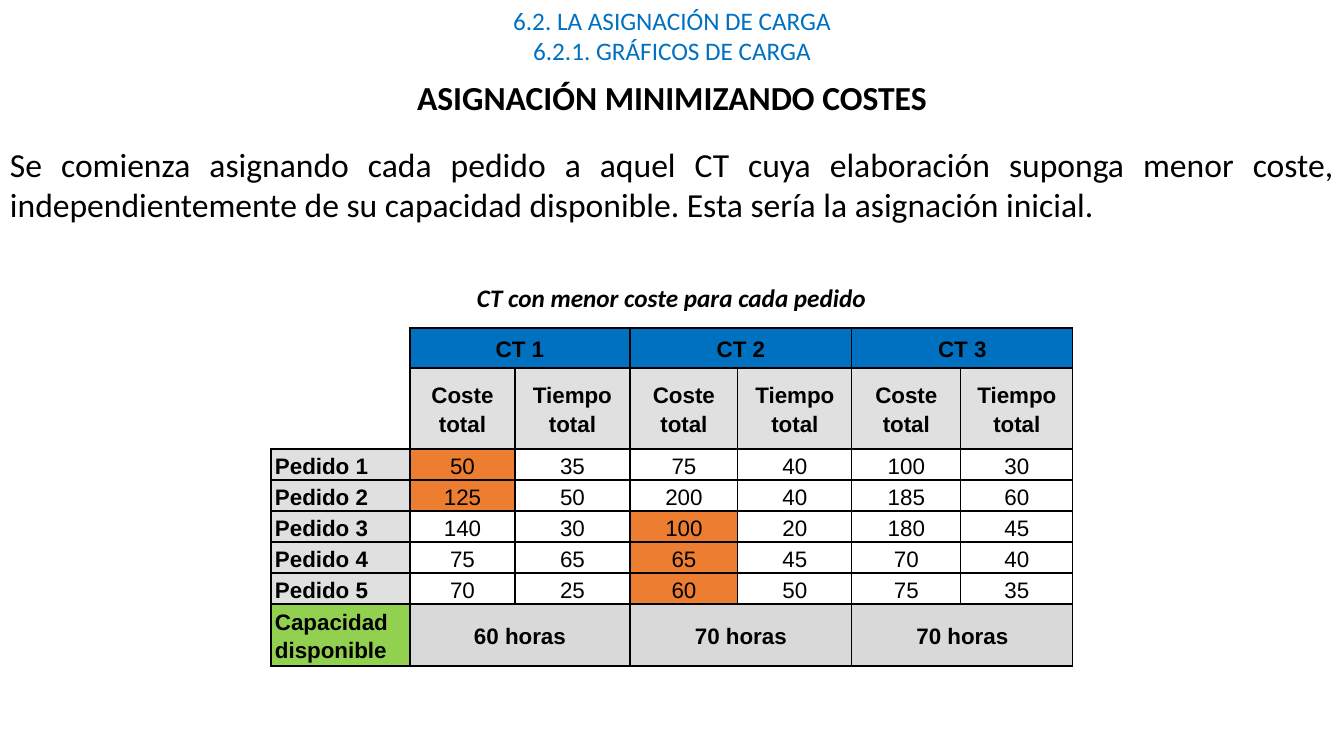
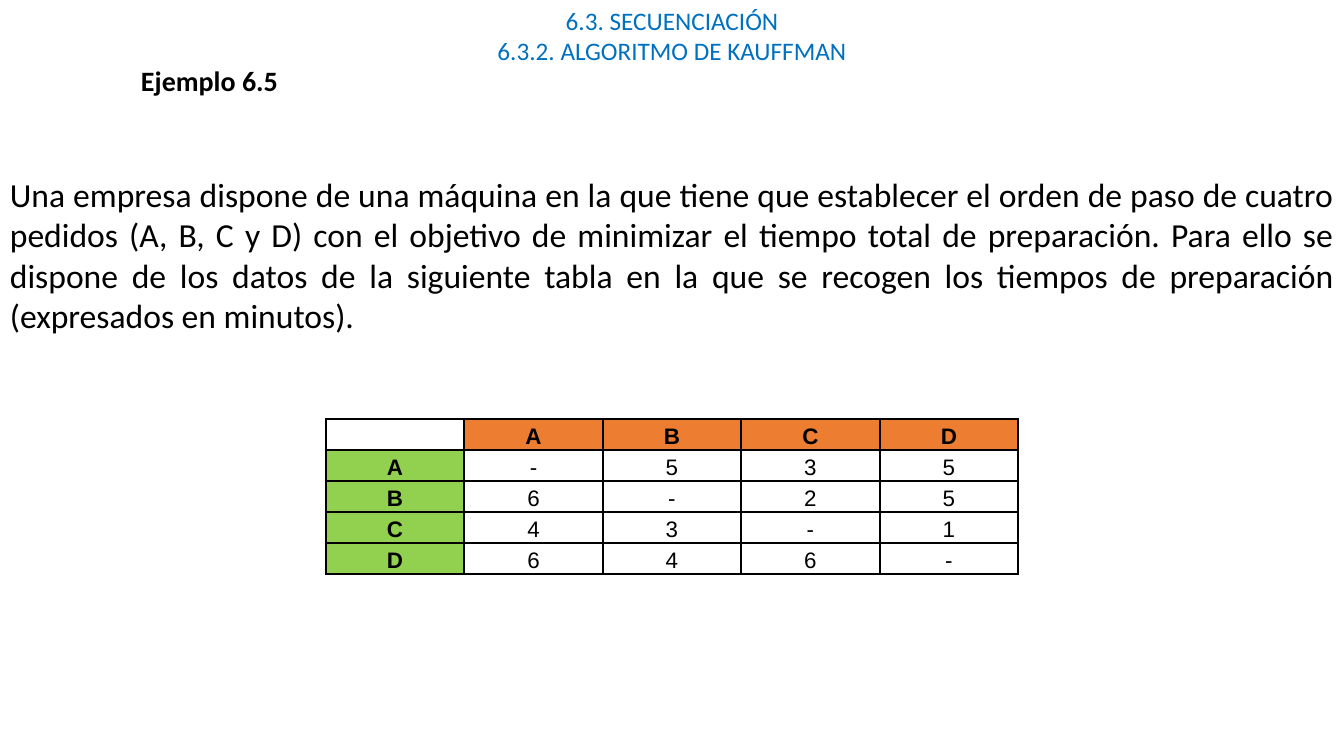
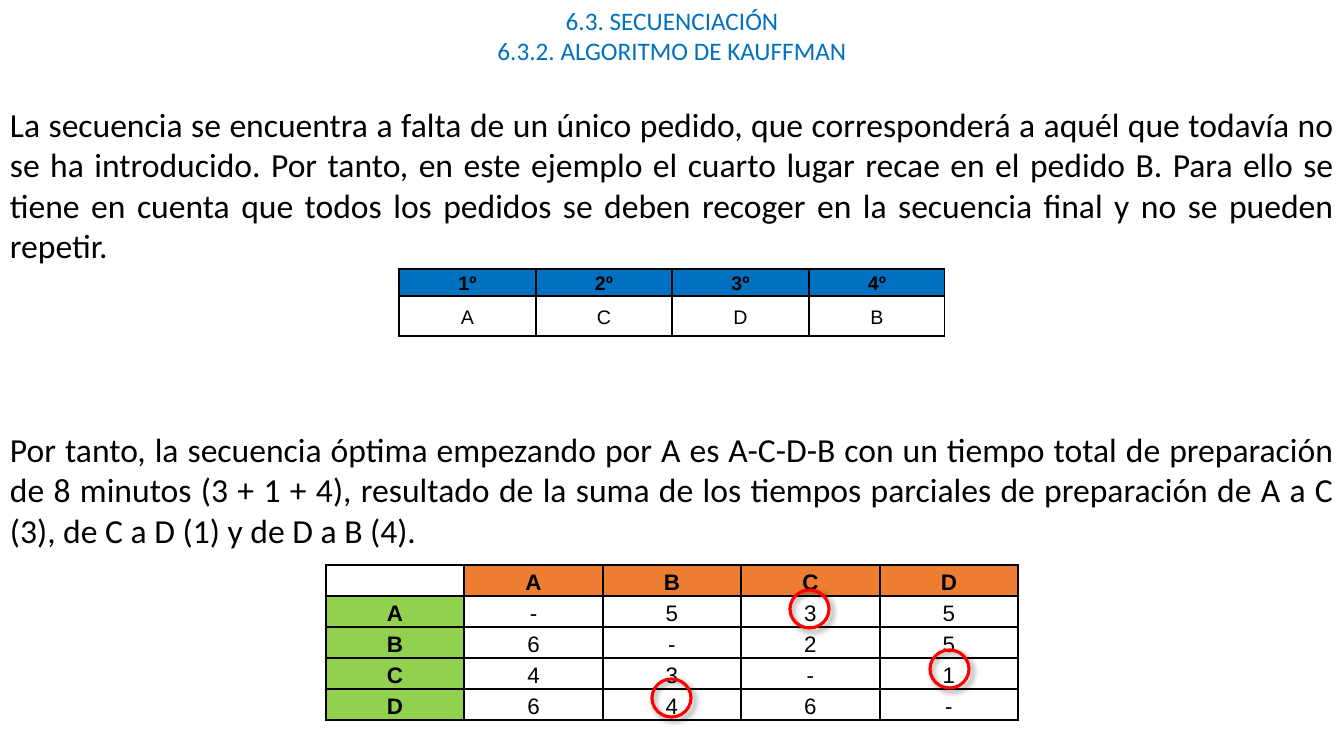
from dataclasses import dataclass
from typing import Optional

from lxml import etree
from pptx import Presentation
from pptx.dml.color import RGBColor
from pptx.enum.shapes import MSO_SHAPE
from pptx.enum.text import MSO_ANCHOR, PP_ALIGN
from pptx.oxml import parse_xml
from pptx.oxml.ns import nsdecls, qn
from pptx.util import Emu, Pt

WIDE, HIGH = 1344, 756
SCALE = 12192000 / WIDE

BLACK = RGBColor(0x00, 0x00, 0x00)
BLUE = RGBColor(0x00, 0x70, 0xC0)
ORANGE = RGBColor(0xED, 0x7D, 0x31)
GREEN = RGBColor(0x92, 0xD0, 0x50)
PALE = RGBColor(0xE0, 0xE0, 0xE0)
GRAY = RGBColor(0xD9, 0xD9, 0xD9)
RED = RGBColor(0xFF, 0x00, 0x00)

CENTER, LEFT, FULL = PP_ALIGN.CENTER, PP_ALIGN.LEFT, PP_ALIGN.JUSTIFY
MIDDLE = MSO_ANCHOR.MIDDLE
OVAL = MSO_SHAPE.OVAL


@dataclass
class Cell:
    text: str = ""
    fill: Optional[RGBColor] = None
    bold: bool = False
    align: PP_ALIGN = CENTER
    span: int = 1
    edges: str = "LRTB"


@dataclass
class Grid:
    left: int
    top: int
    cols: list[int]
    rows: list[int]
    cells: list[list[Cell]]
    size: int = 16
    inset: int = 7


def px(count: int) -> Emu:
    return Emu(round(count * SCALE))


def write(frame, text: str, *, size: int, font: str = "Calibri",
          color: RGBColor = BLACK, bold: bool = False, italic: bool = False,
          align: PP_ALIGN = CENTER, spacing: float = 1.0) -> None:
    for index, line in enumerate(text.split("\n")):
        para = frame.add_paragraph() if index else frame.paragraphs[0]
        para.alignment = align
        para.line_spacing = spacing
        run = para.add_run()
        run.text = line
        run.font.name = font
        run.font.size = Pt(size)
        run.font.color.rgb = color
        run.font.bold = bold
        run.font.italic = italic


def add_text(slide, text: str, left: int, top: int, width: int, height: int,
             **style) -> None:
    box = slide.shapes.add_textbox(px(left), px(top), px(width), px(height))
    box.text_frame.word_wrap = True
    write(box.text_frame, text, **style)


def add_body(slide, text: str, top: int, height: int) -> None:
    add_text(slide, text, 0, top, WIDE, height, size=24, align=FULL)


def add_page(deck, title: str):
    slide = deck.slides.add_slide(deck.slide_layouts[6])
    add_text(slide, title, 0, 0, WIDE, 72, size=18, color=BLUE)
    return slide


def add_edges(cell, edges: str) -> None:
    props = cell._tc.get_or_add_tcPr()
    for edge in edges:
        line = etree.SubElement(props, qn(f"a:ln{edge}"), w=str(Pt(1)))
        fill = etree.SubElement(line, qn("a:solidFill"))
        etree.SubElement(fill, qn("a:srgbClr"), val=str(BLACK))


def add_grid(slide, grid: Grid) -> None:
    frame = slide.shapes.add_table(
        len(grid.rows), len(grid.cols), px(grid.left), px(grid.top),
        px(sum(grid.cols)), px(sum(grid.rows)))
    table = frame.table
    table.first_row = table.horz_banding = False
    for col, width in zip(table.columns, grid.cols):
        col.width = px(width)
    for row, height in zip(table.rows, grid.rows):
        row.height = px(height)
    for r, line in enumerate(grid.cells):
        c = 0
        for item in line:
            first = table.cell(r, c)
            for part in range(c, c + item.span):
                paint(table.cell(r, part), item, grid.inset)
            if item.span > 1:
                first.merge(table.cell(r, c + item.span - 1))
            if item.text:
                write(first.text_frame, item.text, size=grid.size, font="Arial",
                      bold=item.bold, align=item.align, spacing=1.15)
            c += item.span


def paint(cell, item: Cell, inset: int) -> None:
    cell.margin_left = cell.margin_right = px(inset)
    cell.margin_top = cell.margin_bottom = 0
    cell.vertical_anchor = MIDDLE
    add_edges(cell, item.edges)
    if item.fill is None:
        cell.fill.background()
    else:
        cell.fill.solid()
        cell.fill.fore_color.rgb = item.fill


def add_ring(slide, left: int, top: int) -> None:
    ring = slide.shapes.add_shape(OVAL, px(left), px(top), px(39), px(38))
    ring.fill.background()
    ring.line.color.rgb = RED
    ring.line.width = Pt(2.25)
    ring.shadow.inherit = False
    ring._element.spPr.find(qn("a:effectLst")).append(parse_xml(
        f'<a:outerShdw {nsdecls("a")} blurRad="{Pt(4)}" dist="{Pt(3)}" '
        'dir="2700000" algn="tl" rotWithShape="0"><a:srgbClr val="000000">'
        '<a:alpha val="40000"/></a:srgbClr></a:outerShdw>'))


def cost_grid() -> Grid:
    orders = [
        ([50, 35, 75, 40, 100, 30], 0),
        ([125, 50, 200, 40, 185, 60], 0),
        ([140, 30, 100, 20, 180, 45], 2),
        ([75, 65, 65, 45, 70, 40], 2),
        ([70, 25, 60, 50, 75, 35], 2),
    ]
    heads = [Cell(f"CT {n}", BLUE, True, span=2) for n in (1, 2, 3)]
    units = [Cell(f"{name} total", PALE, True) for name in ("Coste", "Tiempo")]
    cells = [[Cell(edges="R")] + heads, [Cell(edges="RB")] + units * 3]
    for number, (values, best) in enumerate(orders, 1):
        cells.append([Cell(f"Pedido {number}", PALE, True, LEFT)] + [
            Cell(str(value), ORANGE if c == best else None)
            for c, value in enumerate(values)])
    cells.append([Cell("Capacidad disponible", GREEN, True, LEFT)] + [
        Cell(f"{hours} horas", GRAY, True, span=2) for hours in (60, 70, 70)])
    return Grid(271, 328, [139, 105, 115, 108, 114, 109, 112],
                [40, 81] + [31] * 5 + [62], cells, inset=4)


def time_grid(top: int) -> Grid:
    names = "ABCD"
    cells = [[Cell()] + [Cell(name, ORANGE, True) for name in names]]
    for name, times in zip(names, ("-535", "6-25", "43-1", "646-")):
        cells.append([Cell(name, GREEN, True)] + [Cell(time) for time in times])
    return Grid(326, top, [138, 139, 138, 139, 138], [31] * 5, cells)


def order_grid() -> Grid:
    cells = [[Cell(f"{n}º", BLUE, True) for n in range(1, 5)],
             [Cell(name) for name in "ACDB"]]
    return Grid(399, 269, [137, 136] * 2, [27, 40], cells, size=14)


def build_costs(deck) -> None:
    slide = add_page(deck, "6.2. LA ASIGNACIÓN DE CARGA\n6.2.1. GRÁFICOS DE CARGA")
    add_text(slide, "ASIGNACIÓN MINIMIZANDO COSTES", 401, 72, 542, 50,
             size=24, bold=True)
    add_grid(slide, cost_grid())
    add_body(slide, "Se comienza asignando cada pedido a aquel CT cuya elaboración "
             "suponga menor coste, independientemente de su capacidad disponible. "
             "Esta sería la asignación inicial.", 139, 154)
    add_text(slide, "CT con menor coste para cada pedido", 411, 277, 521, 40,
             size=18, bold=True, italic=True)


def build_sample(deck, title: str) -> None:
    slide = add_page(deck, title)
    add_text(slide, "Ejemplo 6.5", 125, 59, 169, 44, size=20, bold=True)
    add_body(slide, "Una empresa dispone de una máquina en la que tiene que "
             "establecer el orden de paso de cuatro pedidos (A, B, C y D) con el "
             "objetivo de minimizar el tiempo total de preparación. Para ello se "
             "dispone de los datos de la siguiente tabla en la que se recogen los "
             "tiempos de preparación (expresados en minutos).", 169, 173)
    add_grid(slide, time_grid(419))


def build_result(deck, title: str) -> None:
    slide = add_page(deck, title)
    add_body(slide, "La secuencia se encuentra a falta de un único pedido, que "
             "corresponderá a aquél que todavía no se ha introducido. Por tanto, "
             "en este ejemplo el cuarto lugar recae en el pedido B. Para ello se "
             "tiene en cuenta que todos los pedidos se deben recoger en la "
             "secuencia final y no se pueden repetir.", 99, 173)
    add_grid(slide, order_grid())
    add_body(slide, "Por tanto, la secuencia óptima empezando por A es A-C-D-B con "
             "un tiempo total de preparación de 8 minutos (3 + 1 + 4), resultado "
             "de la suma de los tiempos parciales de preparación de A a C (3), de "
             "C a D (1) y de D a B (4).", 424, 132)
    add_grid(slide, time_grid(565))
    for left, top in ((790, 590), (930, 650), (652, 679)):
        add_ring(slide, left, top)


def main() -> None:
    deck = Presentation()
    deck.slide_width, deck.slide_height = px(WIDE), px(HIGH)
    build_costs(deck)
    title = "6.3. SECUENCIACIÓN\n6.3.2. ALGORITMO DE KAUFFMAN"
    build_sample(deck, title)
    build_result(deck, title)
    deck.save("out.pptx")


if __name__ == "__main__":
    main()
